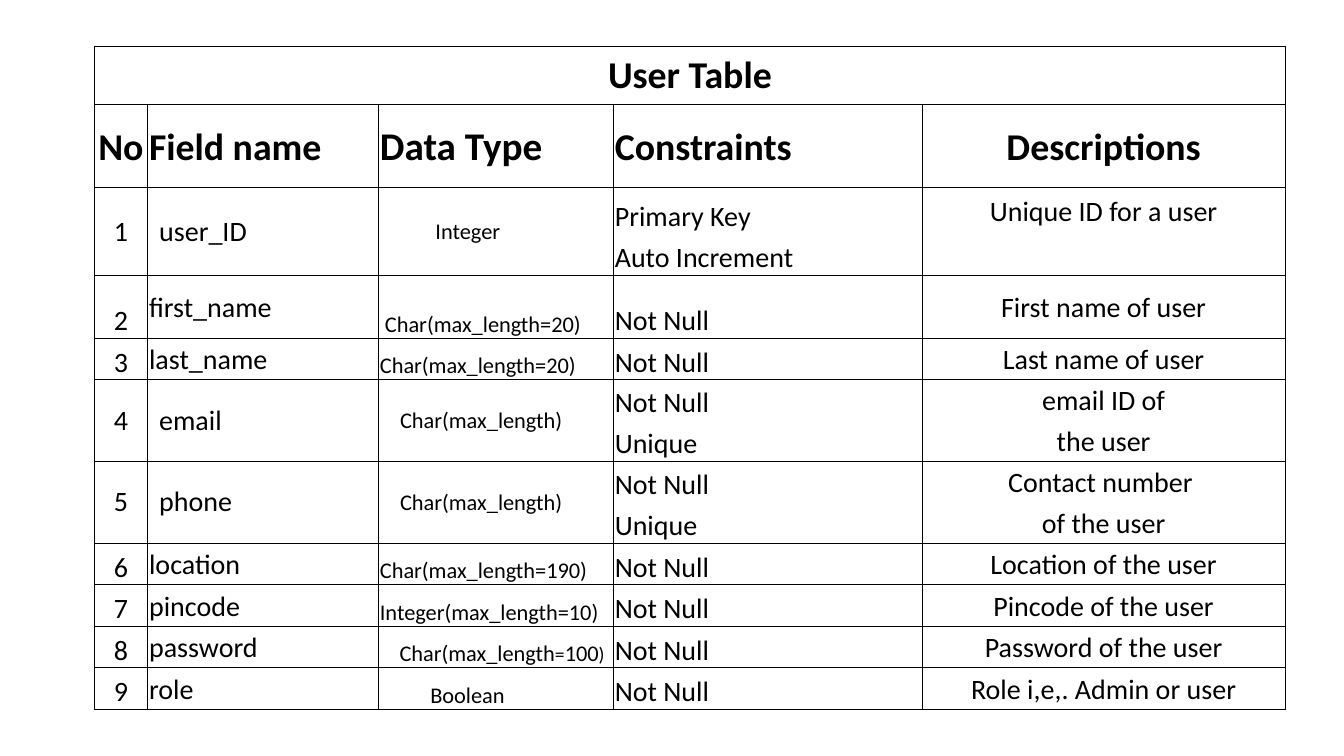
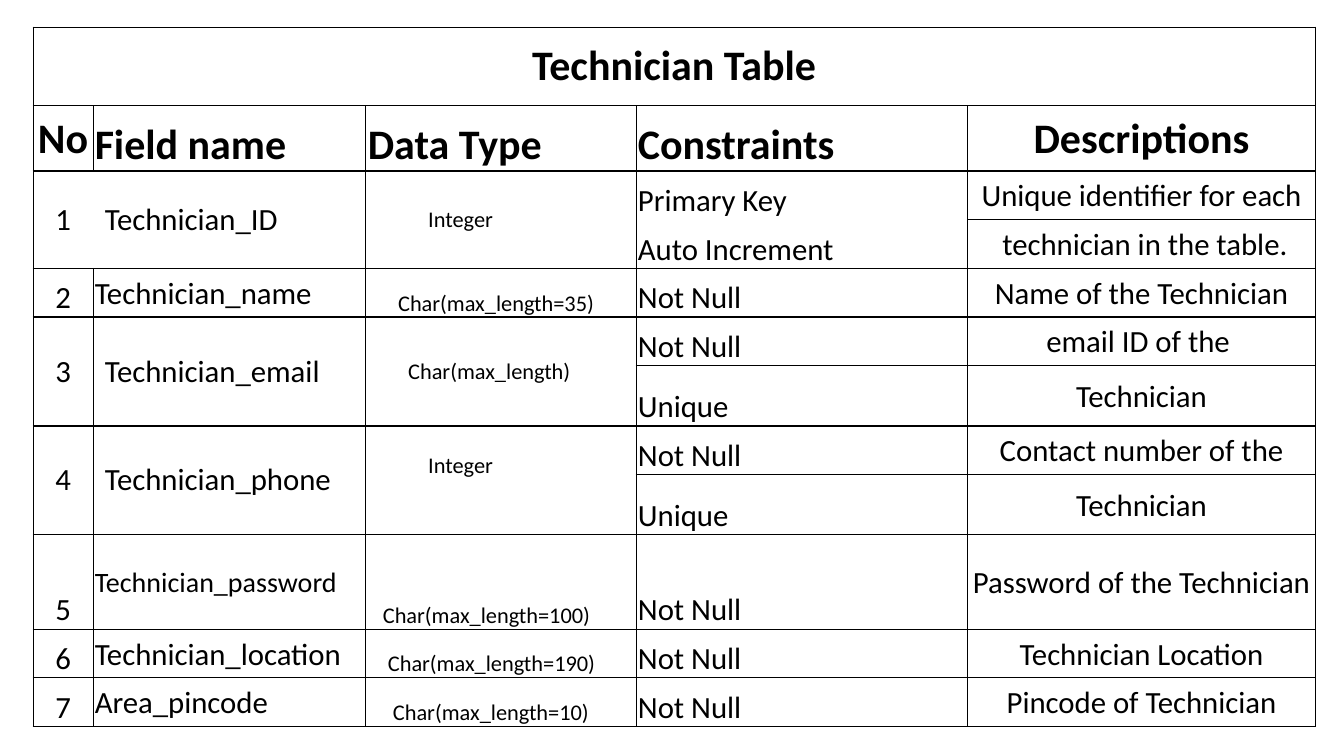
from dataclasses import dataclass

from lxml.etree import SubElement
from pptx import Presentation
from pptx.dml.color import RGBColor
from pptx.enum.text import MSO_ANCHOR, PP_ALIGN
from pptx.oxml.ns import qn
from pptx.util import Pt

COLORS = {"ink": "000000", "paper": "FFFFFF"}
FONT = "Calibri"
HEADINGS = ("No", "Field name", "Data Type", "Constraints", "Descriptions")
CENTERED = (0, 4)
OUTER, INNER = 1, 0.5
TYPE_SIZE = 16
TIGHT = (1.4, 1.4, 1.4, 0)
ROOMY = (8.6, 4.3, 8.6, 4.3)
MIDDLE, BOTTOM = MSO_ANCHOR.MIDDLE, MSO_ANCHOR.BOTTOM
BODY_ANCHORS = (BOTTOM, MIDDLE, BOTTOM, BOTTOM, MIDDLE)


@dataclass
class Field:
    heights: tuple
    name: str
    data_type: object
    indent: float
    constraints: tuple
    descriptions: tuple
    divided: tuple = ()
    name_size: int = 0
    open_number: bool = False
    type_lift: float = 0


@dataclass
class Schema:
    title: str
    box: tuple
    columns: tuple
    title_height: float
    heading_height: float
    heading_sizes: tuple
    heading_anchors: tuple
    body_size: int
    fields: tuple


def frame_cell(cell, column, **changes):
    weights = {
        "L": OUTER if column == 0 else INNER,
        "R": OUTER if column == len(HEADINGS) - 1 else INNER,
        "T": OUTER,
        "B": OUTER,
    }
    weights.update(changes)
    properties = cell._tc.get_or_add_tcPr()
    for side, weight in weights.items():
        line = SubElement(properties, qn(f"a:ln{side}"), w=str(Pt(weight)))
        if weight:
            fill = SubElement(line, qn("a:solidFill"))
            SubElement(fill, qn("a:srgbClr"), val=COLORS["ink"])
        else:
            SubElement(line, qn("a:noFill"))
    cell.fill.solid()
    cell.fill.fore_color.rgb = RGBColor.from_string(COLORS["paper"])


def write_cell(cell, text, size, centered, anchor, margins=TIGHT, bold=False):
    cell.margin_left, cell.margin_top, cell.margin_right, cell.margin_bottom = map(Pt, margins)
    cell.vertical_anchor = anchor
    para = cell.text_frame.paragraphs[0]
    para.alignment = PP_ALIGN.CENTER if centered else PP_ALIGN.LEFT
    para.font.name = FONT
    para.font.size = Pt(size)
    para.font.bold = bold
    para.font.color.rgb = RGBColor.from_string(COLORS["ink"])
    if isinstance(text, str):
        para.text = text
        return
    for words, span_size in text:
        span = para.add_run()
        span.text = words
        span.font.size = Pt(span_size)


def add_heading(table, schema):
    title = table.cell(0, 0)
    title.merge(table.cell(0, len(HEADINGS) - 1))
    frame_cell(title, 0, R=OUTER)
    write_cell(title, schema.title, schema.heading_sizes[0], True, MIDDLE, ROOMY, True)
    for column, heading in enumerate(HEADINGS):
        cell = table.cell(1, column)
        frame_cell(cell, column)
        write_cell(cell, heading, schema.heading_sizes[column], column in CENTERED,
                   schema.heading_anchors[column], bold=True)


def add_field(table, row, number, field, body_size):
    last = len(field.heights) - 1
    leads = (
        (str(number), body_size),
        (field.name, field.name_size or body_size),
        (field.data_type, TYPE_SIZE),
    )
    for column, (text, size) in enumerate(leads):
        cell = table.cell(row, column)
        left, top, right, bottom = ROOMY if last else TIGHT
        if last:
            cell.merge(table.cell(row + last, column))
        if column == 2:
            left += field.indent
            bottom += field.type_lift
        changes = {}
        if field.open_number and column < 2:
            changes = {"R" if column == 0 else "L": 0}
        frame_cell(cell, column, **changes)
        anchor = MIDDLE if last else BODY_ANCHORS[column]
        write_cell(cell, text, size, column in CENTERED, anchor, (left, top, right, bottom))
    for column, lines in ((3, field.constraints), (4, field.descriptions)):
        seam = INNER if column in field.divided else 0
        for offset, text in enumerate(lines):
            cell = table.cell(row + offset, column)
            frame_cell(cell, column, T=seam if offset else OUTER,
                       B=seam if offset < last else OUTER)
            write_cell(cell, text, body_size, column in CENTERED, BODY_ANCHORS[column])


def add_schema_page(deck, schema):
    page = deck.slides.add_slide(deck.slide_layouts[6])
    heights = [schema.title_height, schema.heading_height]
    for field in schema.fields:
        heights.extend(field.heights)
    box = page.shapes.add_table(len(heights), len(HEADINGS), *map(Pt, schema.box),
                                Pt(sum(schema.columns)), Pt(sum(heights)))
    table = box.table
    table.first_row = table.horz_banding = False
    for column, width in zip(table.columns, schema.columns):
        column.width = Pt(width)
    for row, height in zip(table.rows, heights):
        row.height = Pt(height)
    add_heading(table, schema)
    row = 2
    for number, field in enumerate(schema.fields, 1):
        add_field(table, row, number, field, schema.body_size)
        row += len(field.heights)


REQUIRED = ("Not Null",)
UNIQUE = ("Not Null", "Unique")
KEY = ("Primary Key", "Auto Increment")
USER_ROW, USER_PAIR = (29.7,), (28.9, 29.5)
PASSWORD_TYPE = (("Char(max_length", 16), ("=", 14), ("100", 16), (")", 14))

USER = Schema(
    "User Table", (67.7, 33.2), (37.4, 164.9, 167.8, 221, 259.2), 41.3, 59.5,
    (27, 27, 28, 27, 27), (MIDDLE,) * 5, 20,
    (
        Field((33.2, 29.5), "user_ID", "Integer", 32.5, KEY, ("Unique ID for a user", "")),
        Field((44.8,), "first_name", "Char(max_length=20)", 3.6, REQUIRED, ("First name of user",)),
        Field(USER_ROW, "last_name", "Char(max_length=20)", 0, REQUIRED, ("Last name of user",)),
        Field(USER_PAIR, "email", "Char(max_length)", 7.2, UNIQUE, ("email ID of", "the user")),
        Field(USER_PAIR, "phone", "Char(max_length)", 7.2, UNIQUE, ("Contact number ", "of the user")),
        Field(USER_ROW, "location", "Char(max_length=190)", 0, REQUIRED, ("Location of the user",)),
        Field(USER_ROW, "pincode", "Integer(max_length=10)", 0, REQUIRED, ("Pincode of the user",)),
        Field(USER_ROW, "password", PASSWORD_TYPE, 14, REQUIRED, ("Password of the user",)),
        Field(USER_ROW, "role", "Boolean", 36, REQUIRED, ("Role i,e,. Admin or user",)),
    ),
)

TECH_ROW, TECH_PAIR = (34.8,), (34.6, 43.2)

TECHNICIAN = Schema(
    "Technician Table", (23.8, 19.4), (42.5, 195, 193, 237, 248.3), 56.2, 46.6,
    (30,) * 5, (MIDDLE, BOTTOM, BOTTOM, BOTTOM, MIDDLE), 22,
    (
        Field(TECH_ROW * 2, "Technician_ID", "Integer", 36, KEY,
              ("Unique identifier for each", " technician in the table."), (4,), open_number=True),
        Field(TECH_ROW, "Technician_name", "Char(max_length=35)", 21.7, REQUIRED,
              ("Name of the Technician",)),
        Field(TECH_PAIR, "Technician_email", "Char(max_length)", 21.7, UNIQUE,
              ("email ID of the ", "Technician"), (3, 4)),
        Field(TECH_PAIR, "Technician_phone", "Integer", 36, UNIQUE,
              ("Contact number of the", "Technician"), (3, 4), type_lift=21),
        Field((67.4,), "Technician_password", "Char(max_length=100)", 10.8, REQUIRED,
              ("Password of the Technician",), name_size=20),
        Field(TECH_ROW, "Technician_location", "Char(max_length=190)", 14.4, REQUIRED,
              ("Technician Location",)),
        Field(TECH_ROW, "Area_pincode", "Char(max_length=10)", 18, REQUIRED,
              ("Pincode of Technician",)),
    ),
)


def main():
    deck = Presentation()
    deck.slide_width, deck.slide_height = Pt(960), Pt(540)
    for schema in (USER, TECHNICIAN):
        add_schema_page(deck, schema)
    deck.save("out.pptx")


if __name__ == "__main__":
    main()
